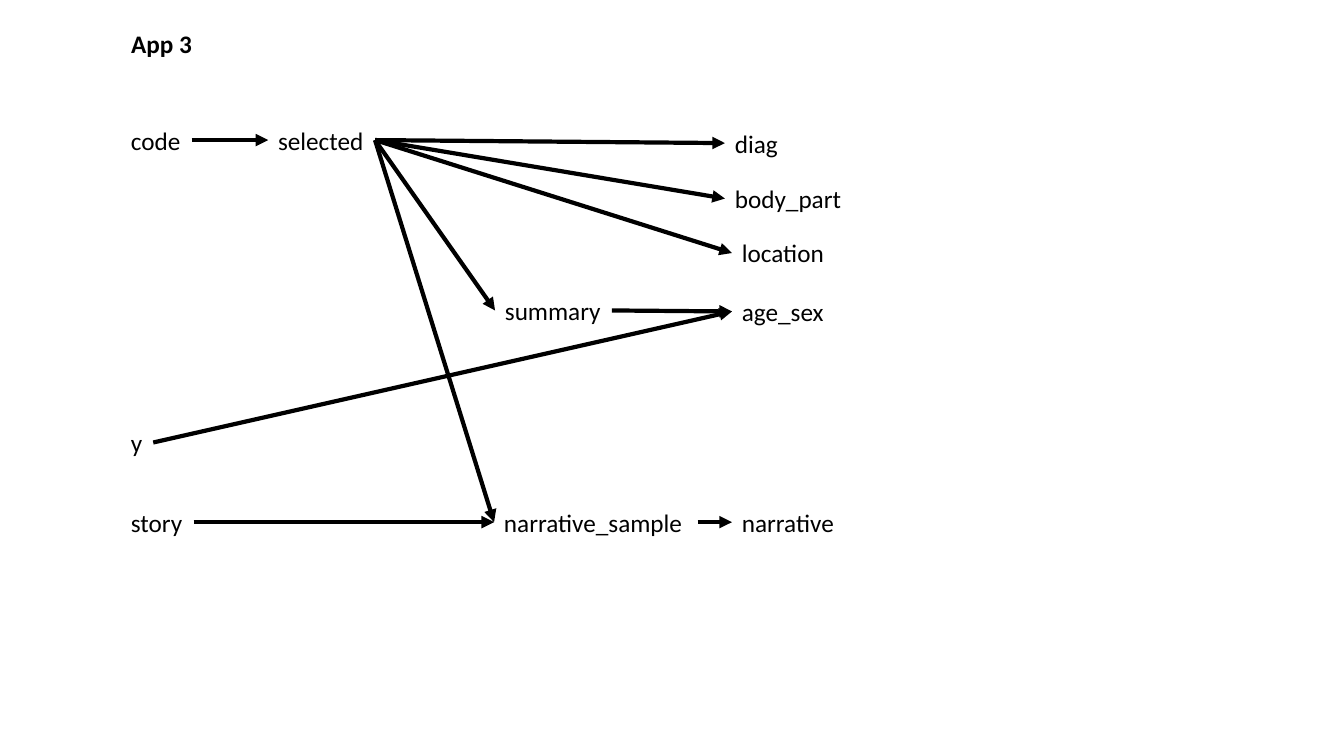
"""Build the dependency diagram slide for App 3."""
from lxml import etree
from pptx import Presentation, util as u
from pptx.dml.color import RGBColor
from pptx.enum import shapes, text
from pptx.oxml import ns

COLOURS = {"ink": "000000", "paper": "FFFFFF"}
LEFT_SITE, RIGHT_SITE = 1, 3

NODES = {
    "code": (12, 11.9, 7),
    "selected": (26.6, 11.9, 10.6),
    "diag": (71.9, 12.2, 6.3),
    "body_part": (71.9, 17.7, 12.7),
    "location": (72.6, 23.1, 10.2),
    "summary": (49.1, 28.8, 11.6),
    "age_sex": (72.6, 28.9, 10.2),
    "y": (12, 41.9, 3.2),
    "story": (12, 49.8, 7.2),
    "narrative_sample": (49, 49.8, 20.2),
    "narrative": (72.6, 49.8, 11.2),
}

LINKS = {
    "code": ["selected"],
    "selected": ["summary", "narrative_sample", "location", "body_part", "diag"],
    "y": ["age_sex"],
    "summary": ["age_sex"],
    "story": ["narrative_sample"],
    "narrative_sample": ["narrative"],
}


class Diagram:
    """Hold the style and slide; lengths are cells of a tenth of an inch."""

    cell = u.Inches(0.1)
    font_name = "Calibri"
    font_size = u.Pt(18)
    line_width = u.Pt(3)
    label_rows = 4

    def __init__(self, presentation):
        self.slide = presentation.slides.add_slide(presentation.slide_layouts[5])
        fill = self.slide.background.fill
        fill.solid()
        fill.fore_color.rgb = RGBColor.from_string(COLOURS["paper"])

    def cells(self, *counts):
        return [round(count * self.cell) for count in counts]

    def format_label(self, shape, wording, bold=False):
        frame = shape.text_frame
        frame.text = wording
        frame.word_wrap = False
        frame.auto_size = text.MSO_AUTO_SIZE.SHAPE_TO_FIT_TEXT
        frame.vertical_anchor = text.MSO_ANCHOR.TOP
        paragraph = frame.paragraphs[0]
        paragraph.alignment = text.PP_ALIGN.LEFT
        font = paragraph.runs[0].font
        font.name, font.size, font.bold = self.font_name, self.font_size, bold
        font.color.rgb = RGBColor.from_string(COLOURS["ink"])

    def title(self, wording, column, row, columns):
        shape = self.slide.shapes.title
        shape.left, shape.top, shape.width, shape.height = self.cells(
            column, row, columns, self.label_rows)
        self.format_label(shape, wording, bold=True)

    def node(self, wording, column, row, columns):
        shape = self.slide.shapes.add_textbox(
            *self.cells(column, row, columns, self.label_rows))
        self.format_label(shape, wording)
        return shape

    def arrow(self, source, target):
        connector = self.slide.shapes.add_connector(
            shapes.MSO_CONNECTOR.STRAIGHT, 0, 0, 0, 0)
        connector.begin_connect(source, RIGHT_SITE)
        connector.end_connect(target, LEFT_SITE)
        connector.line.width = self.line_width
        connector.line.color.rgb = RGBColor.from_string(COLOURS["ink"])
        line = connector.line._get_or_add_ln()
        etree.SubElement(line, ns.qn("a:tailEnd"), type="triangle")
        etree.SubElement(connector._element.spPr, ns.qn("a:effectLst"))


def main():
    presentation = Presentation()
    presentation.slide_width = u.Inches(13.33)
    presentation.slide_height = u.Inches(7.5)
    diagram = Diagram(presentation)
    diagram.title("App 3", 12, 2.3, 8.1)
    nodes = {name: diagram.node(name, *place) for name, place in NODES.items()}
    for source, targets in LINKS.items():
        for target in targets:
            diagram.arrow(nodes[source], nodes[target])
    presentation.save("out.pptx")


if __name__ == "__main__":
    main()
